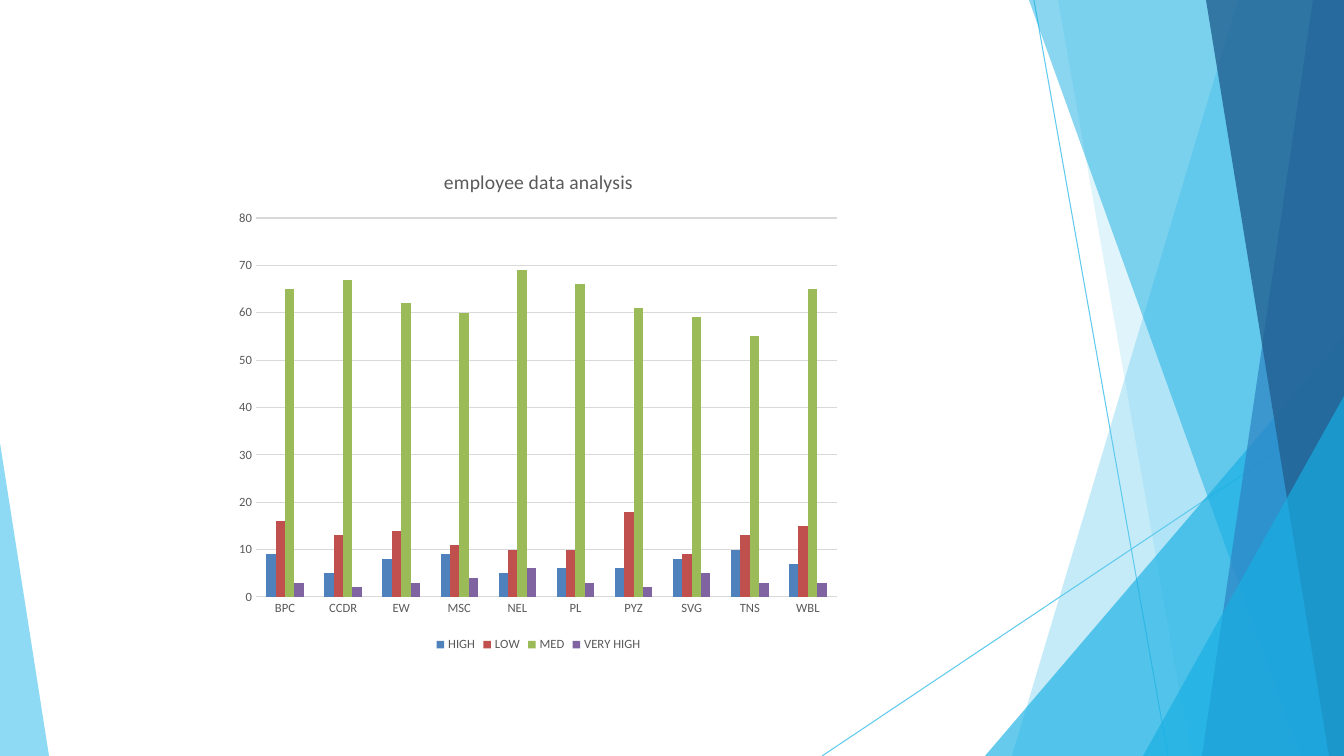
from lxml.etree import SubElement
from pptx import Presentation
from pptx.chart.data import CategoryChartData
from pptx.dml.color import RGBColor
from pptx.enum.chart import XL_CHART_TYPE, XL_LEGEND_POSITION, XL_TICK_MARK
from pptx.enum.shapes import MSO_CONNECTOR
from pptx.oxml import parse_xml
from pptx.oxml.ns import nsdecls, qn
from pptx.util import Pt

PX = 914400 / 100.8
WIDTH, HEIGHT = 1344, 756
THEME = {
    "font": "Calibri", "title_size": 14, "label_size": 9, "hairline": 0.75,
    "text": "595959", "grid": "D9D9D9",
    "sky": "5FCAEE", "cyan": "17AFE3", "blue": "2D83C3", "navy": "226192",
    "HIGH": "4F81BD", "LOW": "C0504D", "MED": "9BBB59", "VERY HIGH": "8064A2",
}


def color(name):
    return RGBColor.from_string(THEME[name])


def write(frame, text, *, size, ink="text", bold=False):
    frame.text = text
    font = frame.paragraphs[0].runs[0].font
    font.name, font.size, font.bold = THEME["font"], Pt(size), bold
    font.color.rgb = color(ink)


deck = Presentation()
deck.slide_width, deck.slide_height = round(WIDTH * PX), round(HEIGHT * PX)
slide = deck.slides.add_slide(deck.slide_layouts[6])

# Thin lines behind the facets
for ends in [(1034, 0, 1168, HEIGHT), (WIDTH, 407, 822, HEIGHT)]:
    ray = slide.shapes.add_connector(
        MSO_CONNECTOR.STRAIGHT, *[round(end * PX) for end in ends])
    ray.line.color.rgb = color("sky")
    ray.line.width = Pt(THEME["hairline"])
    SubElement(ray._element.spPr, qn("a:effectLst"))

# Translucent facets: corner points, colour, opacity in percent
top_right, bottom_right = (WIDTH, 0), (WIDTH, HEIGHT)
facets = [
    ([top_right, (1238, 0), (1012, HEIGHT), bottom_right], "sky", 36),
    ([top_right, (1058, 0), (1191, HEIGHT), bottom_right], "sky", 20),
    ([(WIDTH, 336), (985, HEIGHT), bottom_right], "cyan", 66),
    ([top_right, (1029, 0), (1301, HEIGHT), bottom_right], "cyan", 50),
    ([top_right, (1313, 0), (1202, HEIGHT), bottom_right], "blue", 70),
    ([top_right, (1206, 0), (1329, HEIGHT), bottom_right], "navy", 80),
    ([(WIDTH, 396), (1143, HEIGHT), bottom_right], "cyan", 66),
    ([(0, 443), (0, HEIGHT), (49, HEIGHT)], "sky", 70),
]
for corners, tint, opacity in facets:
    outline = slide.shapes.build_freeform(*corners[0], scale=PX)
    outline.add_line_segments(corners[1:], close=True)
    facet = outline.convert_to_shape()
    facet.shadow.inherit = False
    facet.line.fill.background()
    facet.fill.solid()
    facet.fill.fore_color.rgb = color(tint)
    tint_xml = facet._element.spPr.find(qn("a:solidFill"))[0]
    SubElement(tint_xml, qn("a:alpha"), val=str(opacity * 1000))

# Employee ratings by business unit
ratings = {
    "HIGH": (9, 5, 8, 9, 5, 6, 6, 8, 10, 7),
    "LOW": (16, 13, 14, 11, 10, 10, 18, 9, 13, 15),
    "MED": (65, 67, 62, 60, 69, 66, 61, 59, 55, 65),
    "VERY HIGH": (3, 2, 3, 4, 6, 3, 2, 5, 3, 3),
}
data = CategoryChartData()
data.categories = ["BPC", "CCDR", "EW", "MSC", "NEL", "PL", "PYZ", "SVG", "TNS", "WBL"]
for rating, counts in ratings.items():
    data.add_series(rating, counts)
chart = slide.shapes.add_chart(
    XL_CHART_TYPE.COLUMN_CLUSTERED,
    *[round(side * PX) for side in (227, 149, 623, 507)], data).chart
chart.font.name = THEME["font"]
chart.font.size = Pt(THEME["label_size"])
chart.font.color.rgb = color("text")
chart.has_title = True
write(chart.chart_title.text_frame, "employee data analysis", size=THEME["title_size"])

# Bars
bars = chart.plots[0]
bars.gap_width, bars.overlap = 219, 0
bars.vary_by_categories = False
for series in bars.series:
    series.format.fill.solid()
    series.format.fill.fore_color.rgb = color(series.name)

# Axes and gridlines
units, scale = chart.category_axis, chart.value_axis
for axis in (units, scale):
    axis.major_tick_mark = axis.minor_tick_mark = XL_TICK_MARK.NONE
scale.minimum_scale, scale.maximum_scale, scale.major_unit = 0, 80, 10
scale.has_major_gridlines = True
scale.format.line.fill.background()
for rule in (units.format.line, scale.major_gridlines.format.line):
    rule.color.rgb = color("grid")
    rule.width = Pt(THEME["hairline"])

# Legend
chart.has_legend = True
chart.legend.position = XL_LEGEND_POSITION.BOTTOM
chart.legend.include_in_layout = False

# Plot area as fractions of the chart frame
plot_area = chart._chartSpace.chart.plotArea
for auto_layout in plot_area.findall(qn("c:layout")):
    plot_area.remove(auto_layout)
fractions = {"x": 29 / 623, "y": 69 / 507, "w": 581 / 623, "h": 379 / 507}
places = "".join(f'<c:{side} val="{part:.4f}"/>' for side, part in fractions.items())
plot_area.insert(0, parse_xml(
    f'<c:layout {nsdecls("c")}><c:manualLayout><c:layoutTarget val="inner"/>'
    f'<c:xMode val="edge"/><c:yMode val="edge"/>{places}</c:manualLayout></c:layout>'))

deck.save("out.pptx")
